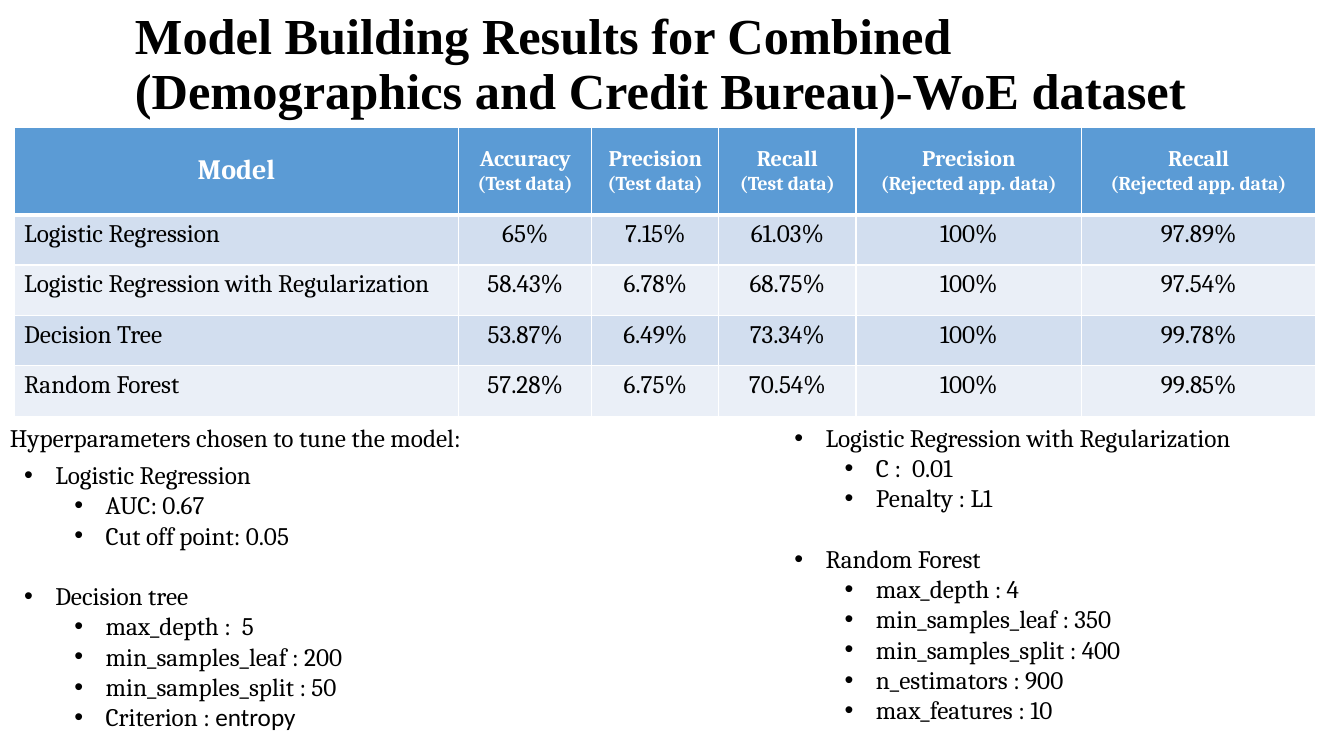
from dataclasses import dataclass

from lxml import etree
from pptx import Presentation
from pptx.dml.color import RGBColor
from pptx.enum.text import MSO_ANCHOR, PP_ALIGN
from pptx.oxml.ns import qn
from pptx.util import Inches, Pt

TOP, MIDDLE = MSO_ANCHOR.TOP, MSO_ANCHOR.MIDDLE
LEFT, CENTER = PP_ALIGN.LEFT, PP_ALIGN.CENTER


@dataclass(frozen=True)
class Theme:
    ink: str = "000000"
    white: str = "FFFFFF"
    header: str = "5B9BD5"
    bands: tuple = ("D2DEEF", "EAEFF7")
    title_font: str = "Times New Roman"
    font: str = "Cambria"
    alt_font: str = "Calibri"
    title: int = 36
    model: int = 20
    body: int = 18
    metric: int = 16
    note: int = 14
    group_gap: float = 21.6


def add_run(p, text, *, size, font, color, bold=False):
    r = p.add_run()
    r.text = text
    r.font.size = Pt(size)
    r.font.name = font
    r.font.bold = bold
    r.font.color.rgb = RGBColor.from_string(color)


def set_bullet(p, level):
    p.level = level
    pPr = p._p.get_or_add_pPr()
    pPr.set("marL", str(Inches(0.31 + 0.5 * level)))
    pPr.set("indent", str(Inches(-0.31)))
    etree.SubElement(pPr, qn("a:buFont")).set("typeface", "Arial")
    etree.SubElement(pPr, qn("a:buChar")).set("char", "•")


def set_borders(cell, color, bottom):
    tcPr = cell._tc.get_or_add_tcPr()
    for side, width in (("L", 1), ("R", 1), ("T", 1), ("B", bottom)):
        ln = etree.SubElement(tcPr, qn("a:ln" + side), w=str(Pt(width)))
        fill = etree.SubElement(ln, qn("a:solidFill"))
        etree.SubElement(fill, qn("a:srgbClr"), val=color)


class SlideBuilder:
    def __init__(self, s, theme):
        self.s = s
        self.theme = theme

    def text_box(self, x, y, w, h, anchor=TOP):
        sp = self.s.shapes.add_textbox(Inches(x), Inches(y), Inches(w), Inches(h))
        tf = sp.text_frame
        tf.word_wrap = True
        tf.vertical_anchor = anchor
        return tf

    def title(self, lines, *box):
        t = self.theme
        p = self.text_box(*box, anchor=MIDDLE).paragraphs[0]
        p.line_spacing = 0.9
        for i, line in enumerate(lines):
            if i:
                p.add_line_break()
            add_run(p, line, size=t.title, font=t.title_font, color=t.ink, bold=True)

    def label(self, text, *box):
        t = self.theme
        p = self.text_box(*box).paragraphs[0]
        add_run(p, text, size=t.body, font=t.font, color=t.ink)

    def bullets(self, groups, *box):
        t = self.theme
        tf = self.text_box(*box)
        p = tf.paragraphs[0]
        for g, (model, params) in enumerate(groups):
            for i, item in enumerate((model, *params)):
                if g or i:
                    p = tf.add_paragraph()
                if g and not i:
                    p.space_before = Pt(t.group_gap)
                set_bullet(p, 1 if i else 0)
                # A pair holds a parameter and a value in the second font
                parts = (item,) if isinstance(item, str) else item
                for text, font in zip(parts, (t.font, t.alt_font)):
                    add_run(p, text, size=t.body, font=font, color=t.ink)

    def cell(self, cell, lines, sizes, fill, color, align, header):
        set_borders(cell, self.theme.white, 3 if header else 1)
        cell.fill.solid()
        cell.fill.fore_color.rgb = RGBColor.from_string(fill)
        cell.vertical_anchor = MIDDLE if header else TOP
        tf = cell.text_frame
        for i, (line, size) in enumerate(zip(lines, sizes)):
            p = tf.add_paragraph() if i else tf.paragraphs[0]
            p.alignment = align
            add_run(p, line, size=size, font=self.theme.font, color=color, bold=header)

    def table(self, headers, rows, widths, heights, *box):
        t = self.theme
        frame = self.s.shapes.add_table(len(rows) + 1, len(headers), *map(Inches, box))
        tbl = frame.table
        for col, width in zip(tbl.columns, widths):
            col.width = Inches(width)
        for row, height in zip(tbl.rows, heights):
            row.height = Inches(height)
        for c, lines in enumerate(headers):
            sizes = (t.metric, t.note) if c else (t.model,)
            self.cell(tbl.cell(0, c), lines, sizes, t.header, t.white, CENTER, True)
        for r, values in enumerate(rows):
            for c, value in enumerate(values):
                self.cell(tbl.cell(r + 1, c), (value,), (t.body,), t.bands[r % 2],
                          t.ink, CENTER if c else LEFT, False)


TEST, REJECTED = "(Test data)", "(Rejected app. data)"
HEADERS = [("Model",), ("Accuracy", TEST), ("Precision", TEST), ("Recall", TEST),
           ("Precision", REJECTED), ("Recall", REJECTED)]
RESULTS = [
    ("Logistic Regression", "65%", "7.15%", "61.03%", "100%", "97.89%"),
    ("Logistic Regression with Regularization", "58.43%", "6.78%", "68.75%", "100%", "97.54%"),
    ("Decision Tree", "53.87%", "6.49%", "73.34%", "100%", "99.78%"),
    ("Random Forest", "57.28%", "6.75%", "70.54%", "100%", "99.85%"),
]
LEFT_MODELS = [
    ("Logistic Regression", ["AUC: 0.67", "Cut off point: 0.05"]),
    ("Decision tree", ["max_depth :  5", "min_samples_leaf : 200",
                       "min_samples_split : 50", ("Criterion : ", "entropy")]),
]
RIGHT_MODELS = [
    ("Logistic Regression with Regularization", ["C :  0.01", "Penalty : L1"]),
    ("Random Forest", ["max_depth : 4", "min_samples_leaf : 350",
                       "min_samples_split : 400", "n_estimators : 900",
                       "max_features : 10"]),
]


def main():
    prs = Presentation()
    prs.slide_width, prs.slide_height = Inches(13.33), Inches(7.5)
    b = SlideBuilder(prs.slides.add_slide(prs.slide_layouts[6]), Theme())

    # Title
    b.title(["Model Building Results for Combined",
             "(Demographics and Credit Bureau)-WoE dataset"], 1.24, 0.18, 11.55, 0.94)

    # Results table
    b.table(HEADERS, RESULTS, [4.41, 1.32, 1.26, 1.36, 2.24, 2.32],
            [0.87] + [0.5] * len(RESULTS), 0.14, 1.26, 12.91, 2.87)

    # Hyperparameters
    b.bullets(LEFT_MODELS, 0.14, 4.51, 5.17, 2.83)
    b.bullets(RIGHT_MODELS, 7.78, 4.14, 5.27, 3.13)
    b.label("Hyperparameters chosen to tune the model:", 0, 4.14, 7.17, 0.4)

    prs.save("out.pptx")


if __name__ == "__main__":
    main()
